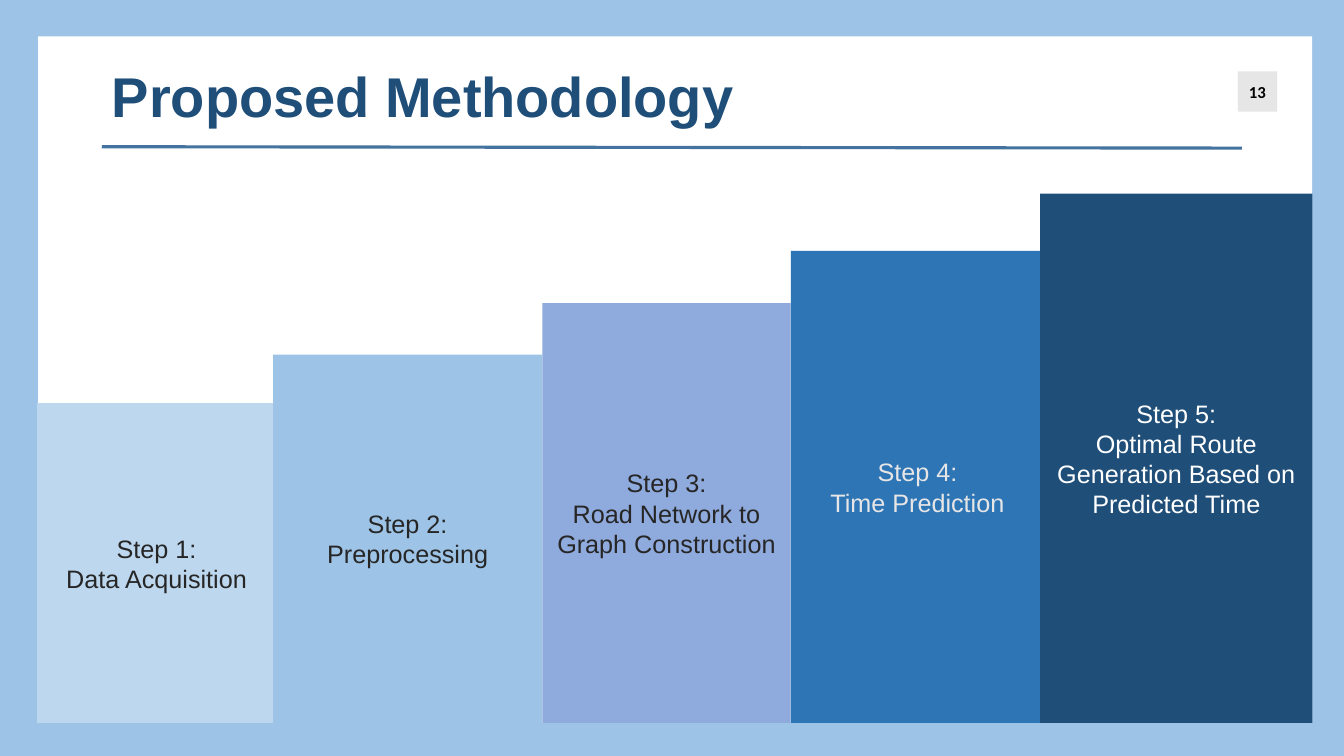
from pptx import Presentation
from pptx.dml.color import RGBColor
from pptx.enum import shapes, text
from pptx.oxml import parse_xml
from pptx.oxml.ns import nsdecls
from pptx.util import Pt

TITLE = "Proposed Methodology"
PAGE = "13"
COLORS = {
    "frame": "9DC3E6", "panel": "FFFFFF", "title": "1F4E79", "rule": "43739E",
    "badge": "E7E6E6", "black": "000000", "dark": "262626", "light": "E7E6E6",
    "white": "FFFFFF", "step1": "BDD7EE", "step2": "9DC3E6", "step3": "8FAADC",
    "step4": "2E75B6", "step5": "1F4E79",
}
STEPS = [
    ("Data Acquisition", 26.6, 170.6, 288, "dark"),
    ("Preprocessing", 195.1, 192.2, 253.3, "dark"),
    ("Road Network to Graph Construction", 387.4, 177.4, 216.5, "dark"),
    ("Time Prediction", 565, 180.6, 179.3, "light"),
    ("Optimal Route Generation Based on Predicted Time", 743, 194.5, 138.3, "white"),
]
BASE = 516.4


def color(name):
    return RGBColor.from_string(COLORS[name])


def style(p, font, size, name, bold=False):
    for r in p.runs:
        r.font.name, r.font.size, r.font.bold = font, Pt(size), bold
        r.font.color.rgb = color(name)


def add_box(s, left, top, width, height, fill):
    sp = s.shapes.add_shape(shapes.MSO_SHAPE.RECTANGLE,
                            Pt(left), Pt(top), Pt(width), Pt(height))
    sp.shadow.inherit = False
    sp.fill.solid()
    sp.fill.fore_color.rgb = color(fill)
    sp.line.fill.background()
    return sp


def write(sp, content, font, size, name, bold=False):
    tf = sp.text_frame
    tf.text = content
    tf.word_wrap = True
    tf.vertical_anchor = text.MSO_ANCHOR.MIDDLE
    for p in tf.paragraphs:
        p.alignment = text.PP_ALIGN.CENTER
        style(p, font, size, name, bold)


def main():
    prs = Presentation()
    prs.slide_width, prs.slide_height = Pt(960), Pt(540)
    s = prs.slides.add_slide(prs.slide_layouts[5])
    s.background.fill.solid()
    s.background.fill.fore_color.rgb = color("frame")

    title = s.shapes.title
    panel = add_box(s, 27.2, 26, 910, 490.4, "panel")
    title.element.addprevious(panel.element)

    title.left, title.top, title.width, title.height = Pt(72.7), Pt(40.3), Pt(690), Pt(55.4)
    tf = title.text_frame
    tf.text = TITLE
    tf.vertical_anchor = text.MSO_ANCHOR.TOP
    tf.auto_size = text.MSO_AUTO_SIZE.NONE
    tf.paragraphs[0].alignment = text.PP_ALIGN.LEFT
    style(tf.paragraphs[0], "Arial", 40, "title", True)

    rule = s.shapes.add_connector(shapes.MSO_CONNECTOR.STRAIGHT,
                                  Pt(72.7), Pt(104.8), Pt(887), Pt(105.8))
    rule.line.color.rgb = color("rule")
    rule.line.width = Pt(2.25)
    rule.element.spPr.append(parse_xml(f"<a:effectLst {nsdecls('a')}/>"))

    for i, (name, left, width, top, ink) in enumerate(STEPS, 1):
        step = add_box(s, left, top, width, BASE - top, f"step{i}")
        write(step, f"Step {i}:\n{name}", "Arial", 18, ink)

    badge = add_box(s, 884.2, 51, 28, 28.8, "badge")
    write(badge, PAGE, "Calibri", 12, "black", True)

    prs.save("out.pptx")


if __name__ == "__main__":
    main()
